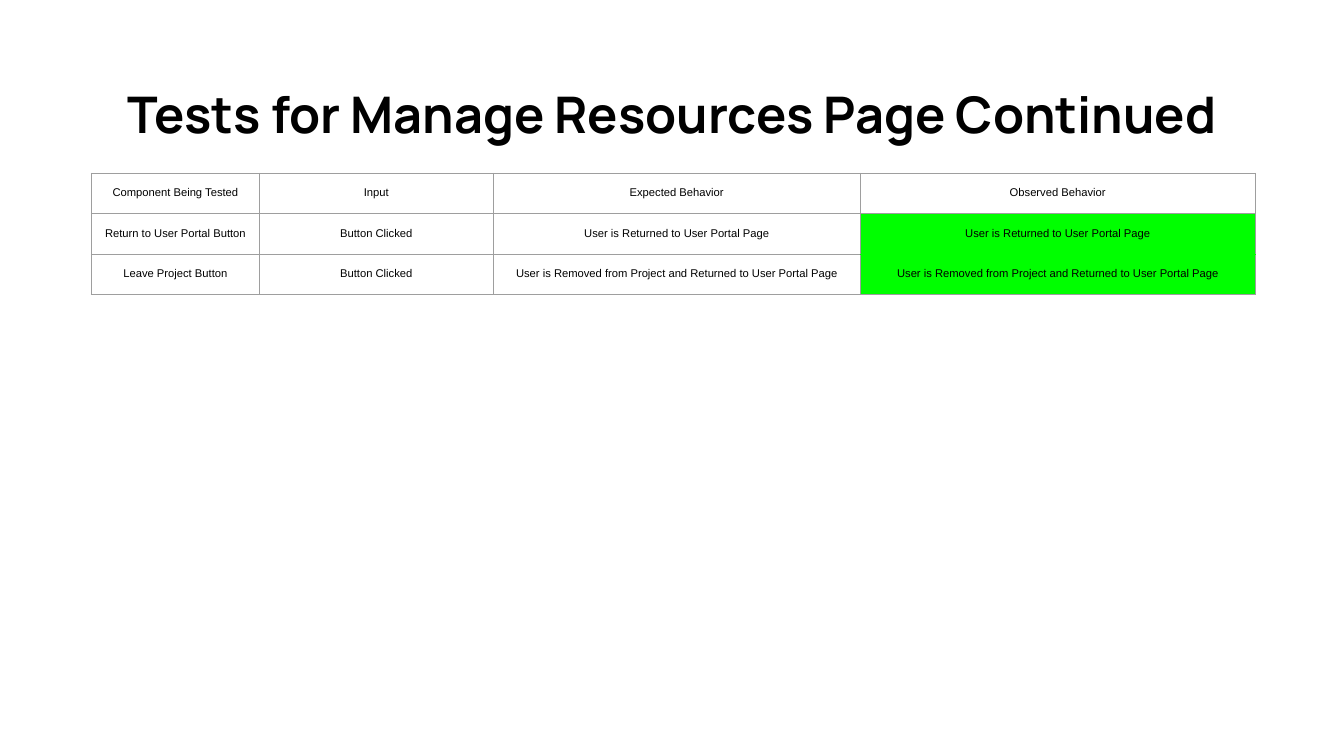
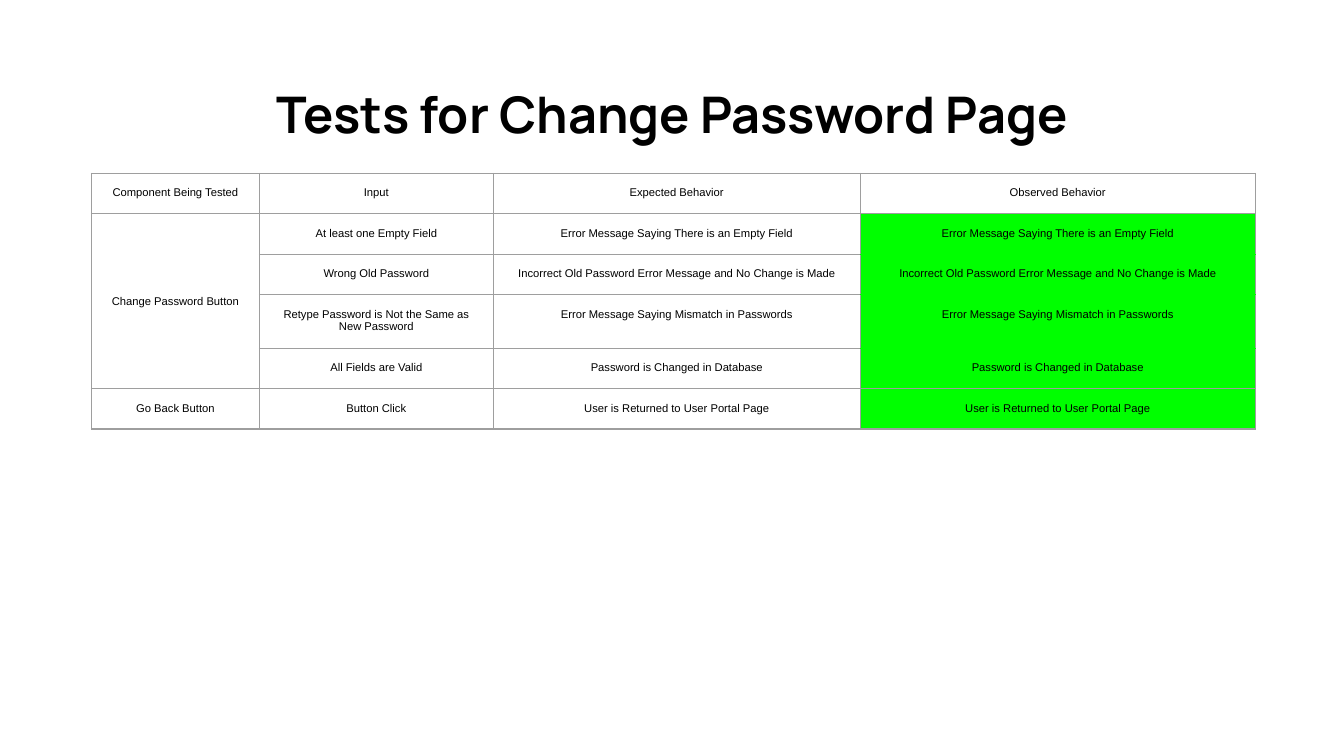
from lxml.etree import SubElement
from pptx import Presentation
from pptx.dml.color import RGBColor
from pptx.enum.text import MSO_ANCHOR, PP_ALIGN
from pptx.oxml.ns import qn
from pptx.util import Inches, Pt

BLACK, GREY, GREEN = "000000", "9E9E9E", "00FF00"
TITLE_FONT, TABLE_FONT = "Manrope", "Arial"
INSET = Inches(0.1)
COL_WIDTHS = (1.25, 1.74, 2.73, 2.94)
ROW_HEIGHT = 0.28
HEADER = ("Component Being Tested", "Input", "Expected Behavior", "Observed Behavior")

RESOURCE_TESTS = [
    ("Return to User Portal Button",
     [("Button Clicked", "User is Returned to User Portal Page")]),
    ("Leave Project Button",
     [("Button Clicked", "User is Removed from Project and Returned to User Portal Page")]),
]
PASSWORD_TESTS = [
    ("Change Password Button", [
        ("At least one Empty Field", "Error Message Saying There is an Empty Field"),
        ("Wrong Old Password", "Incorrect Old Password Error Message and No Change is Made"),
        ("Retype Password is Not the Same as New Password",
         "Error Message Saying Mismatch in Passwords"),
        ("All Fields are Valid", "Password is Changed in Database"),
    ]),
    ("Go Back Button", [("Button Click", "User is Returned to User Portal Page")]),
]


def rgb(value):
    return RGBColor.from_string(value)


def style_paragraph(p, font, size, bold=False):
    p.alignment = PP_ALIGN.CENTER
    p.line_spacing = 1.0
    p.font.name = font
    p.font.size = Pt(size)
    p.font.bold = bold
    p.font.color.rgb = rgb(BLACK)


def add_title(slide, text):
    box = slide.shapes.add_textbox(Inches(0.34), Inches(0.49), Inches(9.32), Inches(0.68))
    tf = box.text_frame
    tf.word_wrap = True
    tf.vertical_anchor = MSO_ANCHOR.BOTTOM
    tf.margin_left = tf.margin_right = tf.margin_top = tf.margin_bottom = INSET
    tf.text = text
    style_paragraph(tf.paragraphs[0], TITLE_FONT, 27, bold=True)


def set_borders(cell, top, bottom):
    """Draw all four edges; top and bottom take their own colours."""
    tc_pr = cell._tc.get_or_add_tcPr()
    edges = (("a:lnL", GREY), ("a:lnR", GREY), ("a:lnT", top), ("a:lnB", bottom))
    for tag, color in edges:
        ln = SubElement(tc_pr, qn(tag), w=str(Pt(0.75)))
        SubElement(SubElement(ln, qn("a:solidFill")), qn("a:srgbClr"), val=color)


def style_cell(cell, text, fill=None, top=GREY, bottom=GREY):
    cell.margin_left = cell.margin_right = cell.margin_top = cell.margin_bottom = INSET
    p = cell.text_frame.paragraphs[0]
    if text:
        p.text = text
    else:
        SubElement(p._p, qn("a:endParaRPr"), sz="600")
    style_paragraph(p, TABLE_FONT, 6)
    set_borders(cell, top, bottom)
    if fill:
        cell.fill.solid()
        cell.fill.fore_color.rgb = rgb(fill)
    else:
        cell.fill.background()


def add_test_table(slide, tests, seams):
    """Tabulate tests; seams are the rows joined to the one above by a green edge."""
    rows = [HEADER]
    spans = []
    for component, cases in tests:
        spans.append((len(rows), len(cases)))
        for i, (action, result) in enumerate(cases):
            rows.append((component if i == 0 else "", action, result, result))

    frame = slide.shapes.add_table(
        len(rows), len(HEADER), Inches(0.68), Inches(1.29),
        Inches(sum(COL_WIDTHS)), Inches(ROW_HEIGHT * len(rows)))
    table = frame.table
    table.first_row = table.horz_banding = False
    for column, width in zip(table.columns, COL_WIDTHS):
        column.width = Inches(width)
    for r, texts in enumerate(rows):
        table.rows[r].height = Inches(ROW_HEIGHT)
        for c, text in enumerate(texts):
            if r > 0 and c == len(HEADER) - 1:
                style_cell(table.cell(r, c), text, GREEN,
                           top=GREEN if r in seams else GREY,
                           bottom=GREEN if r + 1 in seams else GREY)
            else:
                style_cell(table.cell(r, c), text)
    for first, count in spans:
        if count > 1:
            cell = table.cell(first, 0)
            cell.merge(table.cell(first + count - 1, 0))
            cell.vertical_anchor = MSO_ANCHOR.MIDDLE


def main():
    prs = Presentation()
    prs.slide_width = Inches(10)
    prs.slide_height = prs.slide_width * 9 // 16
    for title, tests, seams in (
        ("Tests for Manage Resources Page Continued", RESOURCE_TESTS, range(2, 3)),
        ("Tests for Change Password Page", PASSWORD_TESTS, range(2, 5)),
    ):
        slide = prs.slides.add_slide(prs.slide_layouts[6])
        add_title(slide, title)
        add_test_table(slide, tests, seams)
    prs.save("out.pptx")


if __name__ == "__main__":
    main()
